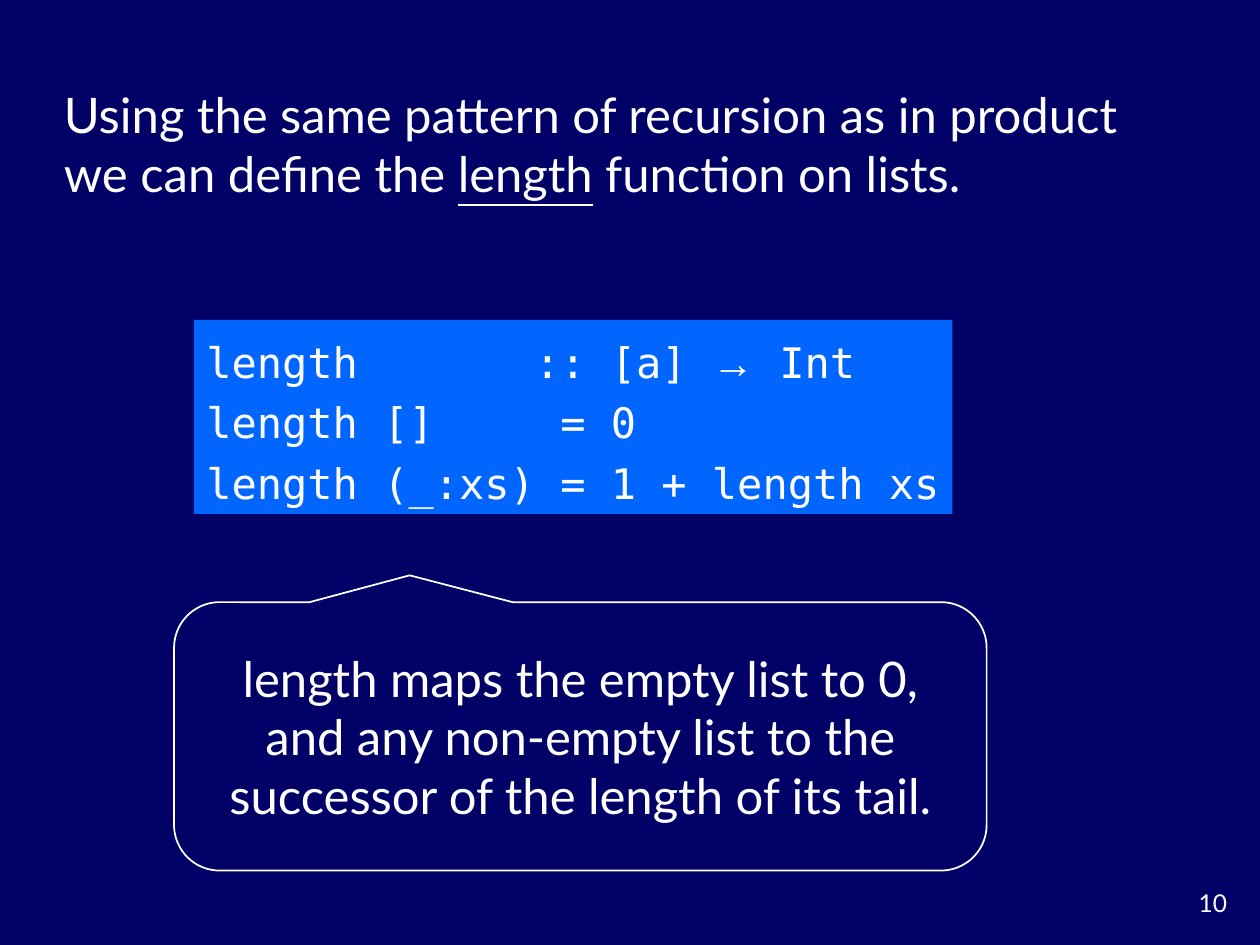
from pptx import Presentation
from pptx.dml.color import RGBColor
from pptx.enum import shapes, text
from pptx.util import Cm, Pt

COLORS = {"background": "000066", "code": "0066FF", "ink": "FFFFFF"}
PROSE, MONO, SYMBOL = "Lato", "DejaVu Sans Mono", "Arial"

# Content: paragraphs are lists of runs
INTRO = [["Using the same pattern of recursion as in product we can define the ",
          "length", " function on lists."]]
DEFINITION = [
    ["length       :: [a] ", "→", " Int"],
    ["length []     = 0"],
    ["length (_:xs) = 1 + length xs"],
]
EXPLANATION = [["length maps the empty list to 0, and any non-empty list "
                "to the successor of the length of its tail."]]
PAGE = [["10"]]

# Places: left, top, width, height in cm
INTRO_BOX = (1.04, 0.99, 22.96, 3.81)
CODE_BOX = (3.91, 6.45, 15.29, 3.91)
CALLOUT_BOX = (3.51, 12.14, 16.38, 5.41)
PAGE_BOX = (23.29, 17.78, 1.7, 0.84)
CALLOUT_ADJUSTMENTS = (-0.21, -0.6, 0.17)


def color(name):
    return RGBColor.from_string(COLORS[name])


def write(shape, paragraphs, size, font=PROSE, align=text.PP_ALIGN.LEFT,
          anchor=text.MSO_ANCHOR.MIDDLE, wrap=True, spacing=None):
    frame = shape.text_frame
    frame.word_wrap = wrap
    frame.vertical_anchor = anchor
    for index, runs in enumerate(paragraphs):
        paragraph = frame.add_paragraph() if index else frame.paragraphs[0]
        paragraph.alignment = align
        paragraph.line_spacing = spacing
        paragraph.font.name = font
        paragraph.font.size = Pt(size)
        paragraph.font.color.rgb = color("ink")
        for words in runs:
            paragraph.add_run().text = words
    return frame


def add_box(slide, kind, box):
    shape = slide.shapes.add_shape(kind, *map(Cm, box))
    shape.shadow.inherit = False
    return shape


presentation = Presentation()
presentation.slide_width, presentation.slide_height = Cm(25.4), Cm(19.05)
slide = presentation.slides.add_slide(presentation.slide_layouts[6])
slide.background.fill.solid()
slide.background.fill.fore_color.rgb = color("background")

# Page number
page = slide.shapes.add_textbox(*map(Cm, PAGE_BOX))
write(page, PAGE, 14, align=text.PP_ALIGN.RIGHT, anchor=text.MSO_ANCHOR.TOP)

# Introduction, with the function name underlined
intro = slide.shapes.add_textbox(*map(Cm, INTRO_BOX))
intro_frame = write(intro, INTRO, 28)
intro_frame.paragraphs[0].runs[1].font.underline = True

# Function definition
definition = add_box(slide, shapes.MSO_SHAPE.RECTANGLE, CODE_BOX)
definition.fill.solid()
definition.fill.fore_color.rgb = color("code")
definition.line.fill.background()
code_frame = write(definition, DEFINITION, 24, MONO, wrap=False, spacing=1.2)
code_frame.paragraphs[0].runs[1].font.name = SYMBOL

# Explanation callout
callout = add_box(slide, shapes.MSO_SHAPE.ROUNDED_RECTANGULAR_CALLOUT, CALLOUT_BOX)
for index, value in enumerate(CALLOUT_ADJUSTMENTS):
    callout.adjustments[index] = value
callout.fill.background()
callout.line.color.rgb = color("ink")
callout.line.width = Pt(1)
write(callout, EXPLANATION, 28, align=text.PP_ALIGN.CENTER)

presentation.save("out.pptx")
